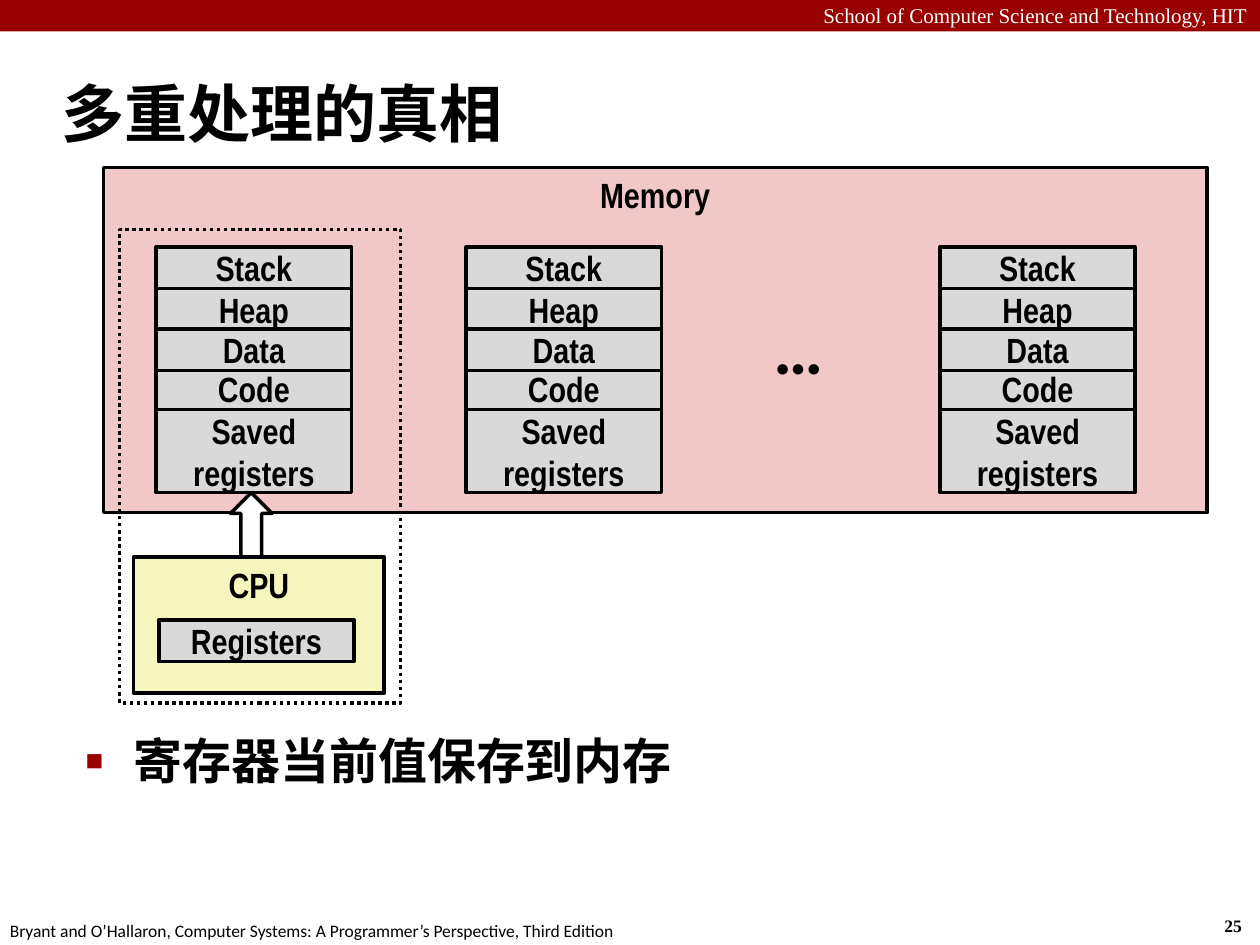
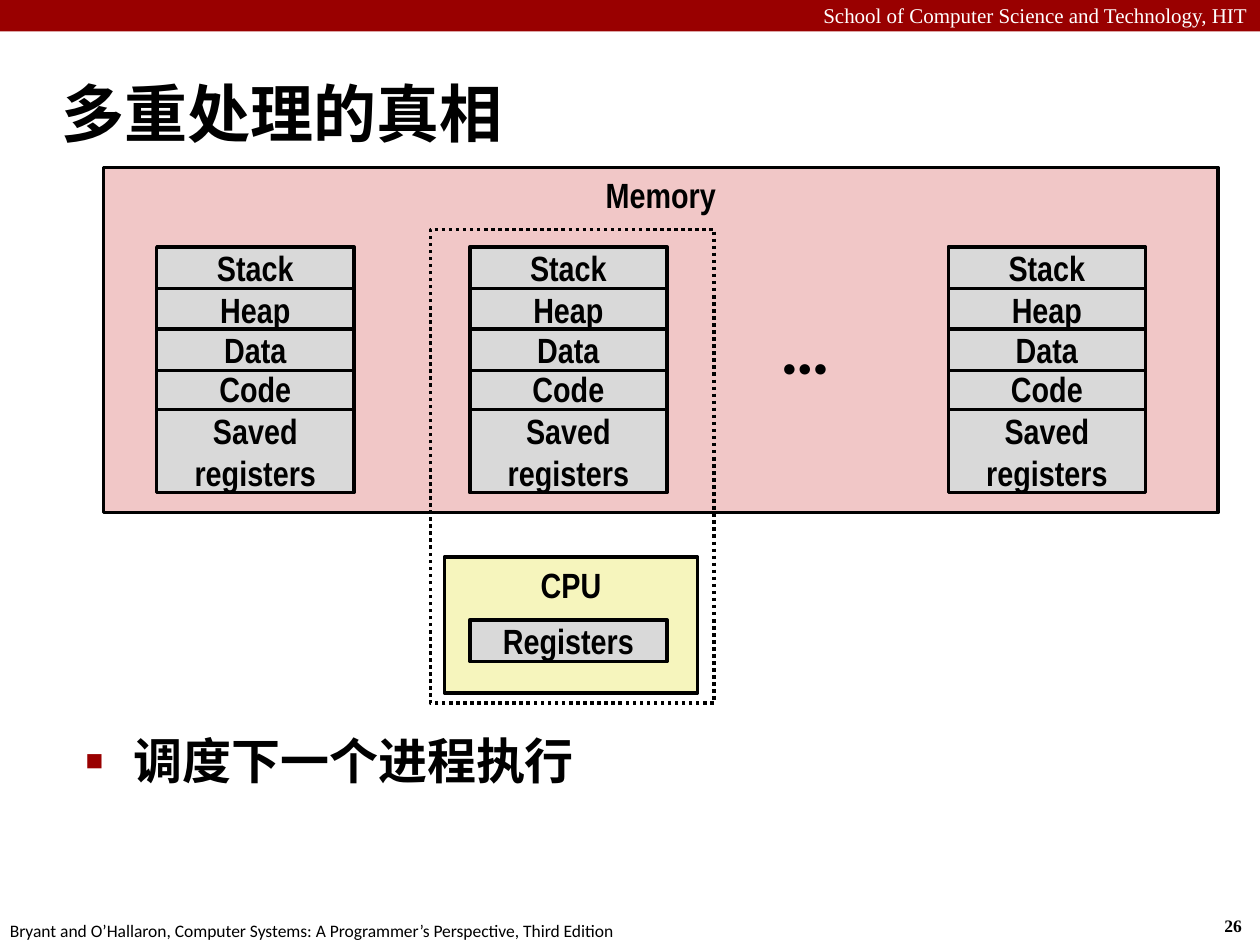
from lxml import etree
from pptx import Presentation, util as u
from pptx.dml import color
from pptx.enum import dml, shapes, text
from pptx.oxml import ns

RED, PINK, CREAM, GREY = "990000", "F1C7C7", "F6F5BD", "D9D9D9"
BLACK, WHITE = "000000", "FFFFFF"
SANS, SERIF, LABEL = "Calibri", "Times New Roman", "Arial Narrow"
COLS, ROWS = 100, 75
TITLE = "多重处理的真相"
SCHOOL = "School of Computer Science and Technology, HIT"
BOOK = "Bryant and O’Hallaron, Computer Systems: A Programmer’s Perspective, Third Edition"
PARTS = [("Stack", 19.6, 3.3), ("Heap", 22.9, 3.3), ("Code", 29.2, 3.3),
         ("Data", 26.1, 3.3), ("Saved registers", 32.5, 6.6)]
LEFT, STACKS, STEP = 8.2, (4.2, 28.8, 66.4), 24.4
ALIGN, ANCHOR = text.PP_ALIGN, text.MSO_ANCHOR


def paint(code):
    return color.RGBColor.from_string(code)


def write(frame, words, size=20, font=LABEL, ink=BLACK, bold=True,
          align=ALIGN.LEFT, anchor=ANCHOR.TOP, wrap=True, grow=False):
    frame.word_wrap = wrap
    fit = text.MSO_AUTO_SIZE
    frame.auto_size = fit.SHAPE_TO_FIT_TEXT if grow else fit.NONE
    frame.vertical_anchor = anchor
    para = frame.paragraphs[0]
    para.alignment = align
    run = para.add_run()
    run.text = words
    run.font.size, run.font.name, run.font.bold = u.Pt(size), font, bold
    run.font.color.rgb = paint(ink)
    return para


class Deck:
    """Holds the shared style and draws on the current slide by grid cells."""

    def __init__(self):
        self.show = Presentation()
        self.show.slide_width, self.show.slide_height = u.Inches(10), u.Inches(7.5)

    def cells(self, x, y, w, h):
        col, row = self.show.slide_width / COLS, self.show.slide_height / ROWS
        return [int(n) for n in (x * col, y * row, w * col, h * row)]

    def page(self, number, point):
        self.slide = self.show.slides.add_slide(self.show.slide_layouts[1])
        self.shape(0, 0, 100, 2.5, RED, line=None)
        self.label(0, -0.3, 100, 3, SCHOOL, size=12, font=SERIF, ink=WHITE,
                   bold=False, align=ALIGN.RIGHT, wrap=True)
        self.label(96.2, 72.1, 3.7, 2.7, str(number), size=10, font=SERIF)
        self.label(-0.2, 72.5, 50.8, 2.7, BOOK, size=10, font=SANS, bold=False)
        self.holder(0, 3.9, 4.8, 92.8, 8.3, 0.13, TITLE, size=36, anchor=ANCHOR.MIDDLE)
        self.bullet(self.holder(1, 5.8, 57.5, 93.3, 5.8, 0.38, point, size=28))

    def holder(self, index, x, y, w, h, indent, words, **form):
        box = self.slide.placeholders[index]
        box.left, box.top, box.width, box.height = self.cells(x, y, w, h)
        props = write(box.text_frame, words, font=SANS, **form)._p.get_or_add_pPr()
        props.set("marL", str(u.Inches(indent)))
        props.set("indent", str(-u.Inches(indent)))
        return props

    def bullet(self, props):
        tint = etree.SubElement(props, ns.qn("a:buClr"))
        etree.SubElement(tint, ns.qn("a:srgbClr"), val=RED)
        etree.SubElement(props, ns.qn("a:buSzPct"), val="60000")
        etree.SubElement(props, ns.qn("a:buFont"), typeface="Arial")
        etree.SubElement(props, ns.qn("a:buChar"), char="■")

    def label(self, x, y, w, h, words, wrap=False, **form):
        box = self.slide.shapes.add_textbox(*self.cells(x, y, w, h))
        write(box.text_frame, words, wrap=wrap, grow=True, **form)

    def shape(self, x, y, w, h, fill=None, words="", line=BLACK, dash=None,
              kind=shapes.MSO_SHAPE.RECTANGLE, anchor=ANCHOR.MIDDLE):
        item = self.slide.shapes.add_shape(kind, *self.cells(x, y, w, h))
        item.shadow.inherit = False
        if fill:
            item.fill.solid()
            item.fill.fore_color.rgb = paint(fill)
        else:
            item.fill.background()
        if line:
            item.line.color.rgb, item.line.width = paint(line), u.Pt(2)
            item.line.dash_style = dash
        else:
            item.line.fill.background()
        if words:
            write(item.text_frame, words, align=ALIGN.CENTER, anchor=anchor)

    def memory(self, active, scale=1, arrow=False):
        def across(x, w):
            return LEFT + x * scale, w * scale

        def block(x, y, w, h, *rest, **form):
            left, width = across(x, w)
            self.shape(left, y, width, h, *rest, **form)

        shift = active * STEP
        block(2.4 + shift, 44.2, 19.9, 10.8, CREAM, "CPU", anchor=ANCHOR.TOP)
        block(4.4 + shift, 49.2, 15.5, 3.3, GREY, "Registers")
        block(0, 13.3, 87.6, 27.4, PINK, "Memory", anchor=ANCHOR.TOP)
        for x in STACKS:
            for name, y, h in PARTS:
                block(x, y, 15.5, h, GREY, name)
        block(1.3 + shift, 18.2, 22.3, 37.6, dash=dml.MSO_LINE.ROUND_DOT)
        left, width = across(52.2, 6.1)
        self.label(left, 23.7, width, 7.7, "…", size=40, font=SANS)
        if arrow:
            block(10.1 + shift, 39.1, 3.3, 5.1, WHITE, kind=shapes.MSO_SHAPE.UP_ARROW)


def main():
    deck = Deck()
    deck.page(25, "寄存器当前值保存到内存")
    deck.memory(0, arrow=True)
    deck.page(26, "调度下一个进程执行")
    deck.memory(1, scale=1.01)
    deck.show.save("out.pptx")


if __name__ == "__main__":
    main()
